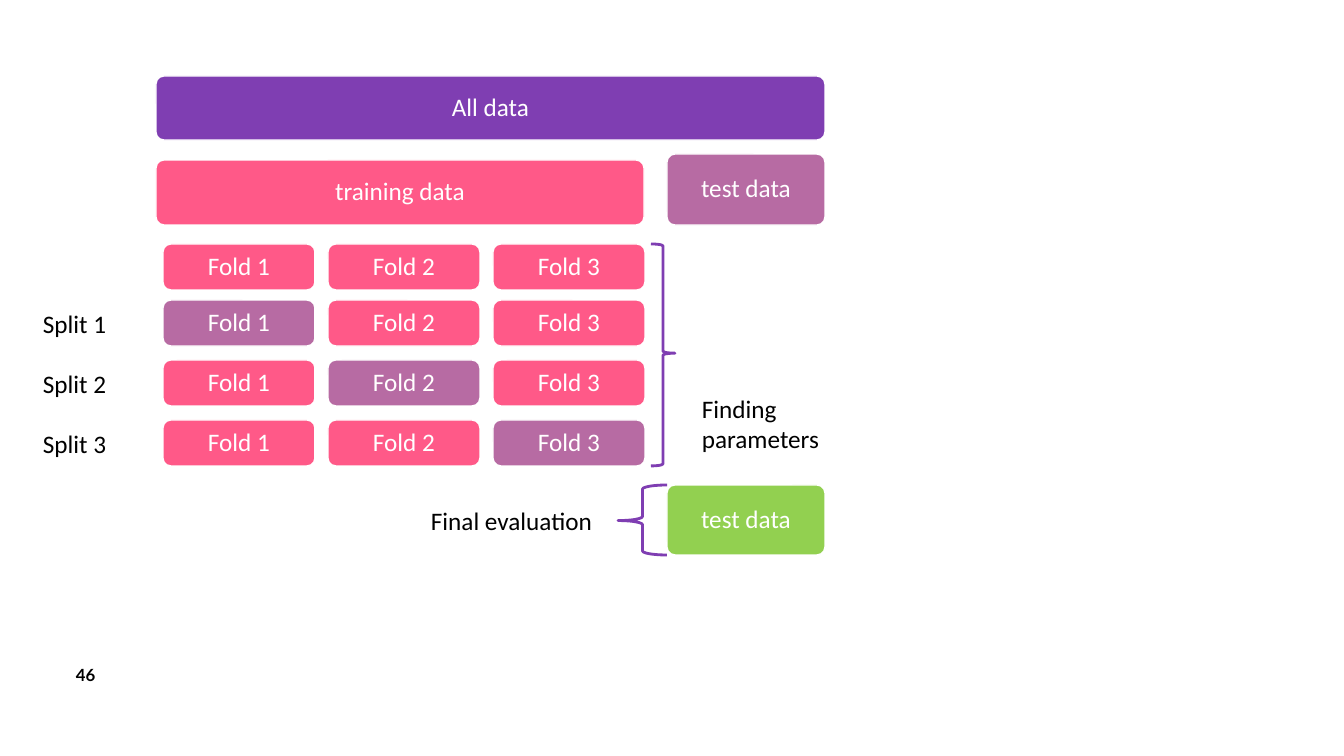
from pptx import Presentation
from pptx.dml.color import RGBColor
from pptx.enum.shapes import MSO_SHAPE
from pptx.enum.text import MSO_ANCHOR, PP_ALIGN
from pptx.util import Pt

ROUNDED, BRACE = MSO_SHAPE.ROUNDED_RECTANGLE, MSO_SHAPE.RIGHT_BRACE
MIDDLE, CENTER = MSO_ANCHOR.MIDDLE, PP_ALIGN.CENTER

EMU_PER_PX = 12192000 / 1344
CORNER = 8
PURPLE, PINK, MAUVE, GREEN = "7F3EB2", "FF5988", "B76BA3", "92D050"
WHITE, BLACK = "FFFFFF", "000000"
BODY_FONT = {"name": "Calibri", "size": Pt(18)}
NUMBER_FONT = {"name": "Lato", "size": Pt(12), "bold": True}


def px(length):
    return round(length * EMU_PER_PX)


def rgb(value):
    return RGBColor.from_string(value)


def write(shape, text, color, font_format=BODY_FONT):
    """Put one paragraph in the shape and return it."""
    paragraph = shape.text_frame.paragraphs[0]
    paragraph.text = text
    paragraph.font.color.rgb = rgb(color)
    for name, value in font_format.items():
        setattr(paragraph.font, name, value)
    return paragraph


def add_block(slide, box, text, fill):
    shape = slide.shapes.add_shape(ROUNDED, *map(px, box))
    shape.adjustments[0] = CORNER / min(box[2:])
    shape.shadow.inherit = False
    shape.fill.solid()
    shape.fill.fore_color.rgb = rgb(fill)
    shape.line.color.rgb = rgb(WHITE)
    shape.line.width = Pt(1)
    frame_format = {"margin_left": px(21), "margin_right": px(21),
                    "margin_top": 0, "margin_bottom": 0,
                    "vertical_anchor": MIDDLE, "word_wrap": True}
    for name, value in frame_format.items():
        setattr(shape.text_frame, name, value)
    paragraph = write(shape, text, WHITE)
    paragraph.alignment = CENTER
    paragraph.line_spacing = 0.9


def add_label(slide, box, text, font_format=BODY_FONT, wrap=True):
    shape = slide.shapes.add_textbox(*map(px, box))
    shape.text_frame.word_wrap = wrap
    write(shape, text, BLACK, font_format)


def add_brace(slide, box, rotation=0):
    brace = slide.shapes.add_shape(BRACE, *map(px, box))
    brace.adjustments[0] = 0.083
    brace.adjustments[1] = 0.492
    brace.rotation = rotation
    brace.shadow.inherit = False
    brace.fill.background()
    brace.line.color.rgb = rgb(PURPLE)
    brace.line.width = Pt(2)


def add_data_overview(slide, left, top, width):
    """All data above its division into training and test data."""
    test_width = 158
    add_block(slide, (left, top, width, 64), "All data", PURPLE)
    add_block(slide, (left, top + 84, 488, 65), "training data", PINK)
    add_block(slide, (left + width - test_width, top + 78, test_width, 71),
              "test data", MAUVE)


def add_cross_validation(slide, left, top):
    """Rows of folds; in each split one fold is held out."""
    fold_width, fold_height, step = 152, 46, 165
    row_tops = [top, top + 56, top + 116, top + 176]
    for split, row_top in enumerate(row_tops):
        for fold in range(1, 4):
            box = (left + (fold - 1) * step, row_top, fold_width, fold_height)
            add_block(slide, box, f"Fold {fold}", MAUVE if fold == split else PINK)
        if split:
            add_label(slide, (left - 130, row_top + 3, 109, 40), f"Split {split}")
    add_brace(slide, (left + 488, top, 24, row_tops[-1] + fold_height - top))
    add_label(slide, (left + 529, top + 144, 150, 72), "Finding parameters")


def add_final_evaluation(slide, left, top):
    height, brace_width = 70, 49
    add_label(slide, (left - 246, top + 15, 221, 40), "Final evaluation")
    add_block(slide, (left, top, 158, height), "test data", GREEN)
    add_brace(slide, (left - brace_width, top, brace_width, height), rotation=180)


def main():
    presentation = Presentation()
    presentation.slide_width, presentation.slide_height = px(1344), px(756)
    slide = presentation.slides.add_slide(presentation.slide_layouts[6])
    add_data_overview(slide, 156, 76, 669)
    add_cross_validation(slide, 163, 244)
    add_final_evaluation(slide, 667, 485)
    add_label(slide, (66, 660, 40, 30), "46", NUMBER_FONT, wrap=False)
    presentation.save("out.pptx")


if __name__ == "__main__":
    main()
